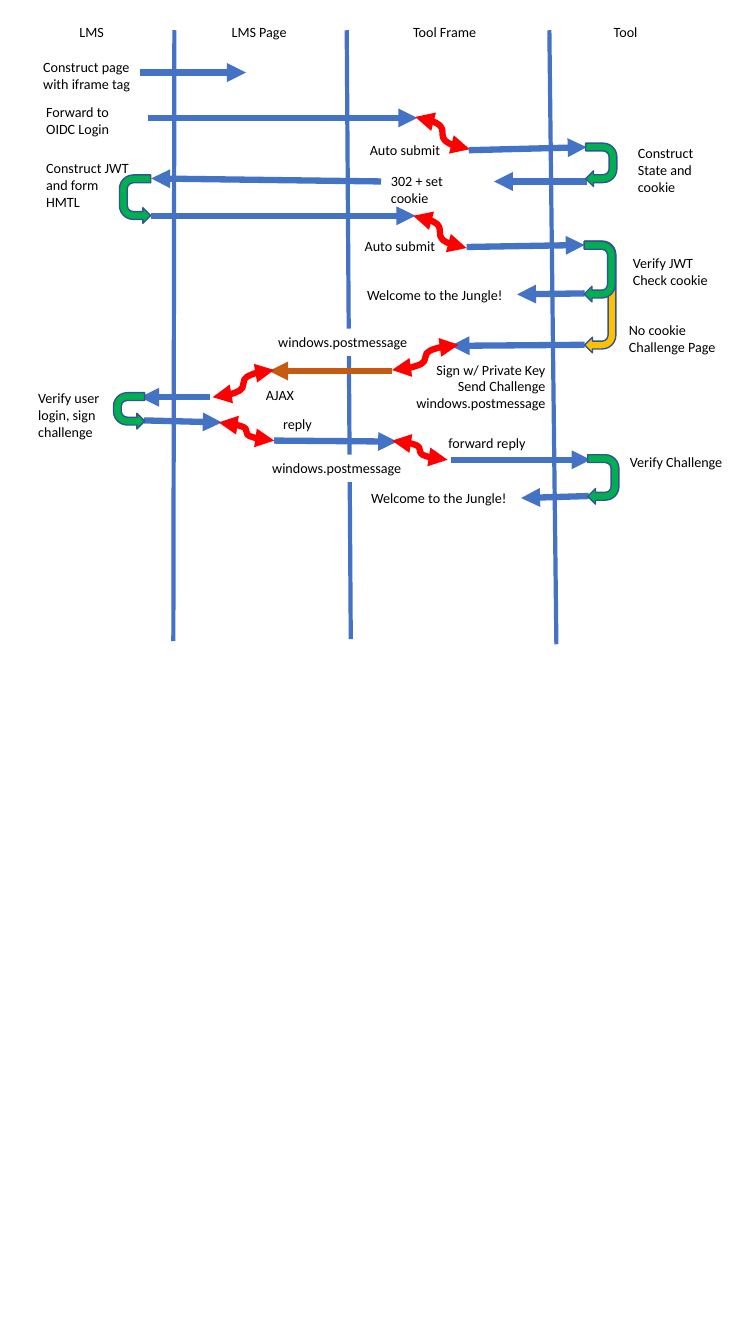
from lxml.etree import SubElement
from pptx import Presentation
from pptx.dml.color import RGBColor
from pptx.enum.shapes import MSO_CONNECTOR as CONN, MSO_SHAPE as SHAPE
from pptx.enum.text import MSO_AUTO_SIZE as AUTO, PP_ALIGN as ALIGN
from pptx.oxml.ns import qn
from pptx.util import Inches, Pt

BLUE = RGBColor(0x44, 0x72, 0xC4)
RED = RGBColor(0xFF, 0x00, 0x00)
ORANGE = RGBColor(0xC5, 0x5A, 0x11)
GREEN = RGBColor(0x00, 0xB0, 0x50)
YELLOW = RGBColor(0xFF, 0xC0, 0x00)
OUTLINE = RGBColor(0x32, 0x54, 0x91)
BLACK = RGBColor(0x00, 0x00, 0x00)
WHITE = RGBColor(0xFF, 0xFF, 0xFF)

# All positions below are columns and rows of a 75 x 133.3 grid.
COLS, ROWS = 75, 133.3
LINE_ROWS, PADDING_ROWS = 1.7, 1.0
TURN_COLS = 3.1

LANES = [(17.3, 17.2, 63.6), (34.4, 34.8, 63.4), (54.5, 55.2, 63.9)]
TITLES = [("LMS", 6.9, 4.5), ("LMS Page", 22, 7.6),
          ("Tool Frame", 40, 8.5), ("Tool", 59.9, 4.5)]

# text, column, row, width, lines shown, alignment
LABELS = [
    ("Construct page with iframe tag", 3.3, 5.3, 10.9, 2, ALIGN.LEFT),
    ("Forward to OIDC Login", 3.6, 9.8, 10.9, 2, ALIGN.LEFT),
    ("Auto submit", 35.7, 13.5, 10.8, 1, ALIGN.LEFT),
    ("Construct State and cookie", 62.3, 13.8, 9.8, 3, ALIGN.LEFT),
    ("Construct JWT and form HMTL", 3.6, 15.3, 10.6, 3, ALIGN.LEFT),
    ("302 + set cookie", 37.8, 16.6, 10.8, 2, ALIGN.LEFT),
    ("Auto submit", 35.2, 23.1, 11, 1, ALIGN.LEFT),
    ("Verify JWT\nCheck cookie", 61.8, 24.7, 10.3, 2, ALIGN.LEFT),
    ("Welcome to the Jungle!", 35, 27.9, 16.3, 1, ALIGN.CENTER),
    ("No cookie\nChallenge Page", 61.4, 31.4, 11.8, 2, ALIGN.LEFT),
    ("Sign w/ Private Key\nSend Challenge\nwindows.postmessage",
     39.7, 35.3, 15.4, 3, ALIGN.RIGHT),
    ("AJAX", 25.4, 37.8, 10.8, 1, ALIGN.LEFT),
    ("Verify user login, sign challenge", 2.8, 38.1, 10.9, 3, ALIGN.LEFT),
    ("reply", 27.1, 40.7, 6.5, 1, ALIGN.LEFT),
    ("forward reply", 43.5, 42.6, 10.8, 1, ALIGN.LEFT),
    ("Verify Challenge", 61.5, 44.5, 11.8, 1, ALIGN.LEFT),
    ("Welcome to the Jungle!", 35.4, 48, 16.3, 1, ALIGN.CENTER),
]
PLATES = [(26, 32.6), (25.4, 45.1)]

# from column, from row, to column, to row
MESSAGES = [
    (13.9, 7.2, 24.4, 7.2), (14.7, 11.7, 41.4, 11.7),
    (46.5, 14.9, 58.2, 14.6), (58.2, 18, 49, 18),
    (37.8, 18, 15, 17.7), (15, 21.4, 41.2, 21.4),
    (46.3, 24.5, 58, 24.3), (58, 29.1, 51.3, 29.2),
    (58, 34.2, 44.7, 34.3), (20.8, 39.4, 13.9, 39.4),
    (14.3, 41.7, 22, 41.9), (27.2, 43.7, 39.4, 43.8),
    (44.7, 45.6, 58.6, 45.6), (58.4, 49.2, 51.7, 49.4),
]
CHALLENGE = (38.9, 36.8, 26.7, 36.8)
HANDOVERS = [
    (41.2, 11.6, 46.6, 14.8), (41, 21.4, 46.3, 24.6),
    (38.9, 36.7, 45.5, 34.2), (21.1, 39.4, 27.2, 36.7),
    (21.7, 41.9, 27.2, 43.7), (38.9, 43.7, 44.4, 45.6),
]

# column, row, rows spanned, fill, opens to the right
TURNS = [
    (58.1, 14.2, 4.3, GREEN, False), (11.85, 17.35, 4.8, GREEN, True),
    (58, 23.9, 11.1, YELLOW, False), (57.95, 23.95, 6, GREEN, False),
    (11.25, 38.95, 3.6, GREEN, True), (58.3, 45.1, 4.9, GREEN, False),
]


def col(n):
    """Length of n grid columns."""
    return Inches(7.5 * n / COLS)


def row(n):
    """Length of n grid rows."""
    return Inches(13.33 * n / ROWS)


def write(s, text, align, wrap=True):
    """Fill a shape with one paragraph per line of text."""
    tf = s.text_frame
    tf.word_wrap = wrap
    tf.auto_size = AUTO.SHAPE_TO_FIT_TEXT
    for i, line in enumerate(text.split("\n")):
        p = tf.add_paragraph() if i else tf.paragraphs[0]
        p.alignment = align
        r = p.add_run()
        r.text = line
        r.font.name, r.font.size = "Calibri", Pt(10.1)
        r.font.color.rgb = BLACK


def add_label(sp, text, x, y, w, lines=1, align=ALIGN.LEFT, wrap=True):
    """Add a text box tall enough for the given lines."""
    h = row(PADDING_ROWS + LINE_ROWS * lines)
    write(sp.add_textbox(col(x), row(y), col(w), h), text, align, wrap)


def add_plate(sp, text, x, y):
    """Add a white caption that interrupts a lane line."""
    s = sp.add_shape(SHAPE.RECTANGLE, col(x), row(y), col(15.4), row(2.7))
    s.shadow.inherit = False
    s.fill.solid()
    s.fill.fore_color.rgb = WHITE
    s.line.fill.background()
    write(s, text, ALIGN.RIGHT)


def add_link(sp, ends, color, width=4.5, kind=CONN.STRAIGHT, heads=("tailEnd",)):
    """Add a connector with triangles at the named ends."""
    x1, y1, x2, y2 = ends
    s = sp.add_connector(kind, col(x1), row(y1), col(x2), row(y2))
    s.line.color.rgb = color
    s.line.width = Pt(width)
    for head in heads:
        SubElement(s.line._get_or_add_ln(), qn("a:" + head), type="triangle")
    SubElement(s._element.spPr, qn("a:effectLst"))


def add_turn(sp, x, y, span, color, opens_right):
    """Add a sideways U-turn arrow whose visible box starts at x, y."""
    left = col(x) + (col(TURN_COLS) - row(span)) // 2
    top = row(y) + (row(span) - col(TURN_COLS)) // 2
    s = sp.add_shape(SHAPE.U_TURN_ARROW, left, top, row(span), col(TURN_COLS))
    s.rotation = 270 if opens_right else 90
    if opens_right:
        s._element.spPr.xfrm.set("flipH", "1")
    for i, value in enumerate((0.25, 0.25, 0.25, 0.44, 1)):
        s.adjustments[i] = value
    s.shadow.inherit = False
    s.fill.solid()
    s.fill.fore_color.rgb = color
    s.line.color.rgb = OUTLINE
    s.line.width = Pt(1)


def main():
    """Build the login sequence slide."""
    prs = Presentation()
    prs.slide_width, prs.slide_height = col(COLS), row(ROWS)
    sp = prs.slides.add_slide(prs.slide_layouts[6]).shapes
    for top_x, foot_x, foot_y in LANES:
        add_link(sp, (top_x, 3, foot_x, foot_y), BLUE, width=3, heads=())
    for text, x, w in TITLES:
        add_label(sp, text, x, 1.8, w, wrap=False)
    for label in LABELS:
        add_label(sp, *label)
    for ends in MESSAGES:
        add_link(sp, ends, BLUE)
    add_link(sp, CHALLENGE, ORANGE)
    for ends in HANDOVERS:
        add_link(sp, ends, RED, kind=CONN.CURVE, heads=("headEnd", "tailEnd"))
    for turn in TURNS:
        add_turn(sp, *turn)
    for x, y in PLATES:
        add_plate(sp, "windows.postmessage", x, y)
    prs.save("out.pptx")


main()
